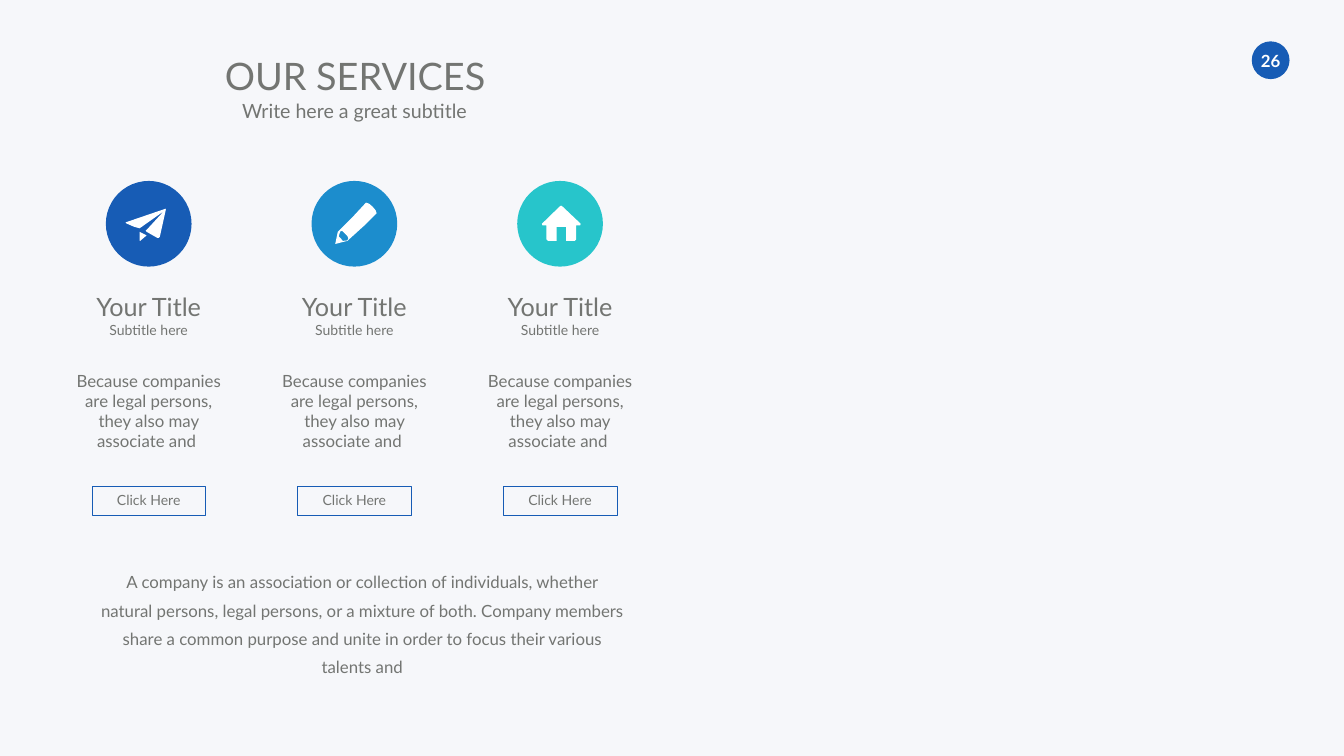
"""Build the "Our services" slide with three service columns."""
from pptx import Presentation
from pptx.dml.color import RGBColor
from pptx.enum.shapes import MSO_SHAPE
from pptx.enum.text import MSO_ANCHOR, PP_ALIGN
from pptx.util import Inches, Pt

COLORS = {"background": "F6F7FA", "blue": "175CB5", "sky": "1C8DCD",
          "teal": "27C5CB", "text": "737572", "white": "FFFFFF"}
FONT = "Lato"
HEADING = "OUR SERVICES"
SUBTITLE = "Write here a great subtitle "
PAGE_NUMBER = "26"
SUMMARY = ("A company is an association or collection of individuals, whether "
           "natural persons, legal persons, or a mixture of both. Company members "
           "share a common purpose and unite in order to focus their various "
           "talents and")
BUTTON = "Click Here"
SERVICE_TEXT = [
    {"text": "Your Title", "size": 36},
    {"text": "Subtitle here", "size": 20},
    {"text": "Because companies are legal persons, they also may associate and ",
     "size": 24, "before": 46.8},
]

ICON_UNIT = Inches(0.01)
PLANE = [
    [(116, 56), (40, 82), (39, 83), (40, 84), (56, 91), (67, 94), (115, 60),
     (81, 97), (79, 99), (81, 101), (102, 113), (105, 113), (107, 111),
     (119, 57), (118, 55)],
    [(67, 118), (68, 119), (81, 108), (67, 101)],
]
PENCIL = [
    [(121, 51), (114, 45), (108, 43), (82, 71), (52, 101), (47, 125),
     (71, 119), (103, 90), (129, 64), (127, 58)],
    [(71, 118), (62, 119), (58, 114), (54, 110), (56, 103), (58, 99),
     (62, 100), (67, 105), (71, 109), (73, 114)],
]
HOUSE = [
    [(126, 85), (90, 51), (87, 49), (84, 51), (49, 85), (50, 88), (58, 88),
     (58, 116), (61, 119), (78, 119), (78, 91), (97, 91), (97, 119),
     (114, 119), (117, 116), (117, 88), (125, 88)],
]
SERVICES = [("blue", PLANE), ("sky", PENCIL), ("teal", HOUSE)]

FIRST_LEFT, COLUMN_STEP = 2.1, 4.08
CIRCLE_TOP, CIRCLE_SIZE = 3.59, 1.7
WIDE_INSET = (0.27, 0.13)
NARROW_INSET = (0.1, 0.05)


def color(name):
    return RGBColor.from_string(COLORS[name])


def add_text(page, paragraphs, place, *, size=24, fill="text", bold=False,
             inset=WIDE_INSET, anchor=MSO_ANCHOR.TOP, spacing=None):
    if isinstance(paragraphs, str):
        paragraphs = [{"text": paragraphs}]
    frame = page.shapes.add_textbox(*map(Inches, place)).text_frame
    frame.word_wrap = True
    frame.vertical_anchor = anchor
    frame.margin_left = frame.margin_right = Inches(inset[0])
    frame.margin_top = frame.margin_bottom = Inches(inset[1])
    for index, item in enumerate(paragraphs):
        paragraph = frame.add_paragraph() if index else frame.paragraphs[0]
        paragraph.alignment = PP_ALIGN.CENTER
        if spacing:
            paragraph.line_spacing = spacing
        if "before" in item:
            paragraph.space_before = Pt(item["before"])
        span = paragraph.add_run()
        span.text = item["text"]
        span.font.name = FONT
        span.font.size = Pt(item.get("size", size))
        span.font.bold = bold
        span.font.color.rgb = color(fill)


def paint(shape, fill=None, line=None):
    shape.shadow.inherit = False
    if fill:
        shape.fill.solid()
        shape.fill.fore_color.rgb = color(fill)
    else:
        shape.fill.background()
    if line:
        shape.line.color.rgb = color(line)
        shape.line.width = Pt(0.5)
    else:
        shape.line.fill.background()


def add_shape(page, kind, place, **look):
    paint(page.shapes.add_shape(kind, *map(Inches, place)), **look)


def add_icon(page, outlines, left, top):
    first, *others = outlines
    builder = page.shapes.build_freeform(*first[0], scale=ICON_UNIT)
    builder.add_line_segments(first[1:], close=True)
    for outline in others:
        builder.move_to(*outline[0])
        builder.add_line_segments(outline[1:], close=True)
    paint(builder.convert_to_shape(Inches(left), Inches(top)), fill="white")


def add_service(page, left, fill, icon):
    center = left + CIRCLE_SIZE / 2

    def centered(top, width, height):
        return center - width / 2, top, width, height

    add_shape(page, MSO_SHAPE.OVAL,
              (left, CIRCLE_TOP, CIRCLE_SIZE, CIRCLE_SIZE), fill=fill)
    add_text(page, SERVICE_TEXT, centered(5.64, 3.57, 3.48))
    add_shape(page, MSO_SHAPE.RECTANGLE, centered(9.64, 2.26, 0.59), line="blue")
    add_text(page, BUTTON, centered(9.62, 1.8, 0.61), size=20,
             inset=NARROW_INSET, anchor=MSO_ANCHOR.MIDDLE)
    add_icon(page, icon, left, CIRCLE_TOP)


def main():
    deck = Presentation()
    deck.slide_width, deck.slide_height = Inches(26.66), Inches(15)
    page = deck.slides.add_slide(deck.slide_layouts[6])
    page.background.fill.solid()
    page.background.fill.fore_color.rgb = color("background")

    add_shape(page, MSO_SHAPE.OVAL, (24.83, 0.82, 0.75, 0.75), fill="blue")
    add_text(page, PAGE_NUMBER, (24.8, 0.9, 0.81, 0.61), fill="white",
             bold=True, inset=(0.1, 0.1))
    for index, (fill, icon) in enumerate(SERVICES):
        add_service(page, FIRST_LEFT + index * COLUMN_STEP, fill, icon)
    add_text(page, SUMMARY, (1.88, 11.14, 10.61, 1.77), inset=NARROW_INSET,
             spacing=1.4)
    add_text(page, HEADING, (1.88, 0.9, 10.33, 1.18), size=54,
             anchor=MSO_ANCHOR.MIDDLE)
    add_text(page, SUBTITLE, (3.55, 1.83, 7.06, 0.74), size=28,
             anchor=MSO_ANCHOR.MIDDLE)
    deck.save("out.pptx")


if __name__ == "__main__":
    main()
